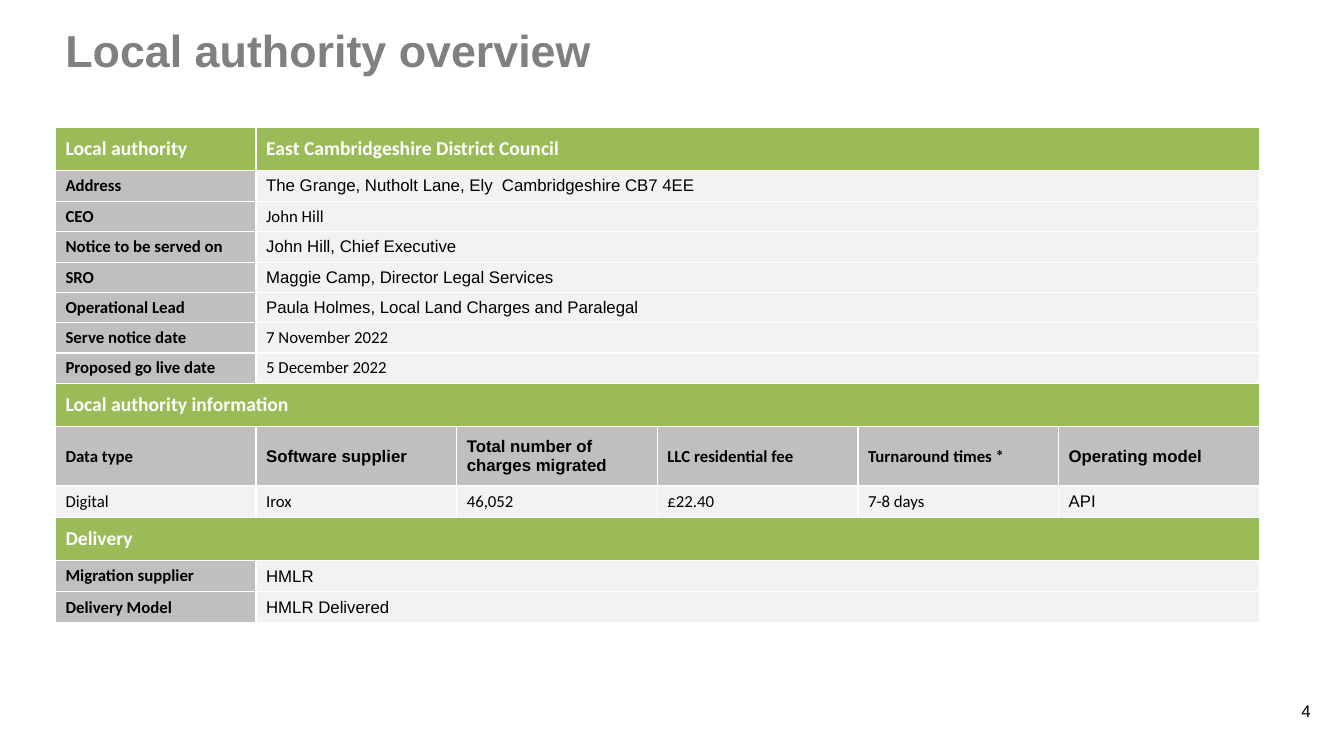
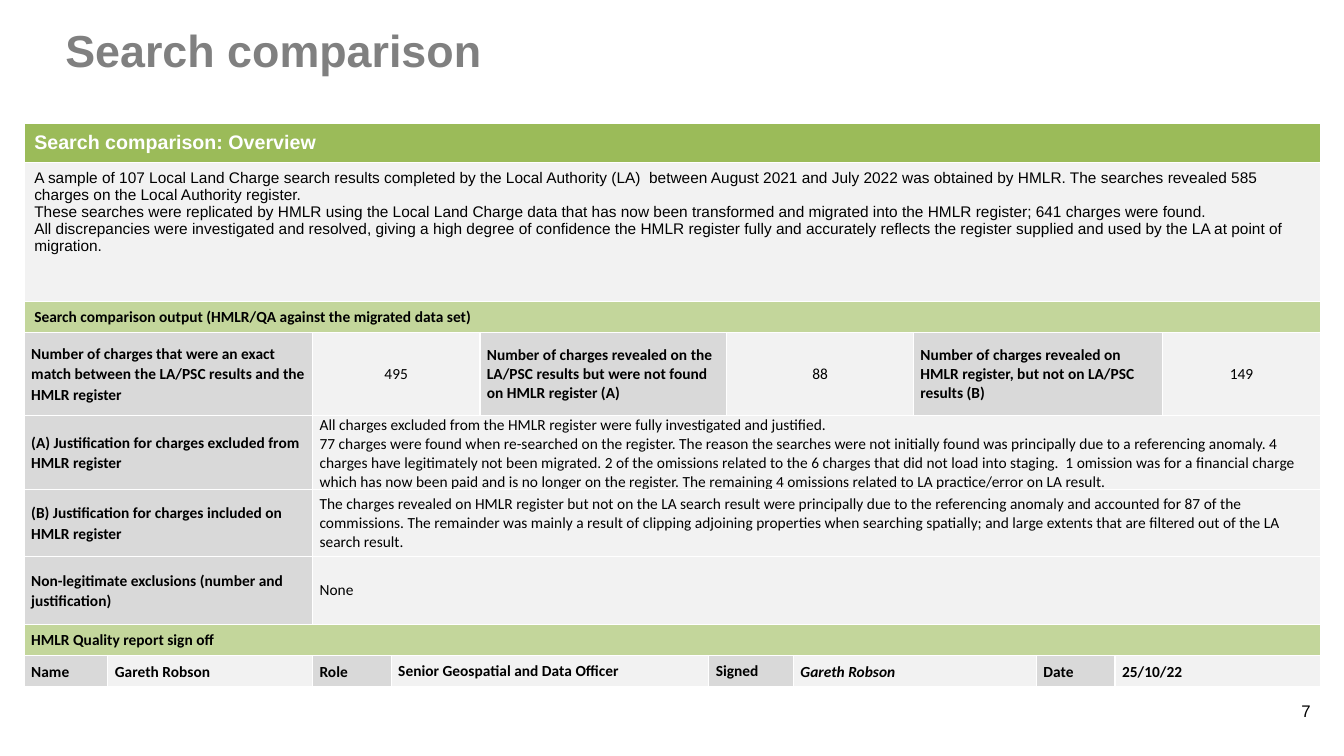
from lxml import etree
from pptx import Presentation, util as u
from pptx.dml.color import RGBColor
from pptx.enum import text as t
from pptx.oxml import ns

GREEN, PALE_GREEN, WHITE, BLACK = "9BBB59", "C3D69B", "FFFFFF", "000000"
GREY, PALE_GREY, MIST, TITLE_GREY = "BFBFBF", "D9D9D9", "F2F2F2", "808080"
SANS, HUMANIST = "Arial", "Calibri"

TITLE = {"name": SANS, "size": 32, "bold": True, "color": TITLE_GREY}
PAGE_NUMBER = {"name": SANS, "size": 12, "bold": False, "color": BLACK}
TITLE_BOX = (0.55, 0.17, 10.29, 0.65)
NUMBER_BOX = (12.81, 6.9, 0.39, 0.3)


def cell_style(fill, name, size, bold, color=BLACK, **extra):
    """Return the format values of one kind of table cell."""
    return {"fill": fill, "name": name, "size": size, "bold": bold,
            "color": color, **extra}


TIGHT = {"margins": (0.07, 0, 0.07, 0)}
SPACED = {**TIGHT, "paragraph": {"line_spacing": 1.07, "space_before": u.Pt(2),
                                 "space_after": u.Pt(2)}}
CENTRED = {**TIGHT, "paragraph": {"alignment": t.PP_ALIGN.CENTER}}
STYLES = {
    "band": cell_style(GREEN, HUMANIST, 14, True, WHITE),
    "label": cell_style(GREY, HUMANIST, 12, True),
    "label sans": cell_style(GREY, SANS, 12, True),
    "value": cell_style(MIST, HUMANIST, 12, False),
    "value sans": cell_style(MIST, SANS, 12, False),
    "overview band": cell_style(GREEN, SANS, 14, True, WHITE),
    "overview": cell_style(MIST, SANS, 11, False, margins=(0.1, 0.07, 0.1, 0.05),
                           anchor=t.MSO_ANCHOR.TOP),
    "output band": cell_style(PALE_GREEN, HUMANIST, 11, True),
    "sign-off band": cell_style(PALE_GREEN, HUMANIST, 11, True, **SPACED),
    "measure": cell_style(PALE_GREY, HUMANIST, 11, True, **TIGHT),
    "heading": cell_style(PALE_GREY, HUMANIST, 11, True, **SPACED),
    "count": cell_style(MIST, HUMANIST, 11, False, **CENTRED),
    "reason": cell_style(MIST, HUMANIST, 11, False, **TIGHT),
    "entry": cell_style(MIST, HUMANIST, 11, True, **SPACED),
    "role": cell_style(MIST, HUMANIST, 11, True, **TIGHT),
    "signature": cell_style(MIST, HUMANIST, 11, True, italic=True, **SPACED),
}


def detail_row(label, value, style="value sans", height=0.3):
    """Return a row with a label and a value over the other five columns."""
    return height, [(label, "label", 1), (value, style, 5)]


def reason_row(label, reason, height=0.67):
    """Return a row with a heading and its explanation."""
    return height, [(label, "heading", 2), (reason, "reason", 10)]


# Each row: height, then cells of (text, style, columns spanned)
AUTHORITY_ROWS = [
    (0.43, [("Local authority", "band", 1),
            ("East Cambridgeshire District Council", "band", 5)]),
    detail_row("Address", "The Grange, Nutholt Lane, Ely  Cambridgeshire CB7 4EE",
               height=0.31),
    detail_row("CEO", "John Hill", "value"),
    detail_row("Notice to be served on", "John Hill, Chief Executive"),
    detail_row("SRO", "Maggie Camp, Director Legal Services"),
    detail_row("Operational Lead", "Paula Holmes, Local Land Charges and Paralegal"),
    detail_row("Serve notice date", "7 November 2022", "value"),
    detail_row("Proposed go live date", "5 December 2022", "value"),
    (0.43, [("Local authority information", "band", 6)]),
    (0.59, [("Data type", "label", 1), ("Software supplier", "label sans", 1),
            ("Total number of charges migrated", "label sans", 1),
            ("LLC residential fee", "label", 1), ("Turnaround times *", "label", 1),
            ("Operating model", "label sans", 1)]),
    (0.31, [("Digital", "value", 1), ("Irox", "value", 1), ("46,052", "value", 1),
            ("£22.40", "value", 1), ("7-8 days", "value", 1),
            ("API", "value sans", 1)]),
    (0.43, [("Delivery", "band", 6)]),
    detail_row("Migration supplier", "HMLR", height=0.31),
    detail_row("Delivery Model", "HMLR Delivered", height=0.31),
]

OVERVIEW = (
    "A sample of 107 Local Land Charge search results completed by the Local Authority "
    "(LA)  between August 2021 and July 2022 was obtained by HMLR. The searches revealed "
    "585 charges on the Local Authority register.\n"
    "These searches were replicated by HMLR using the Local Land Charge data that has now "
    "been transformed and migrated into the HMLR register; 641 charges were found.\n"
    "All discrepancies were investigated and resolved, giving a high degree of confidence "
    "the HMLR register fully and accurately reflects the register supplied and used by the "
    "LA at point of migration.")
EXCLUDED = (
    "All charges excluded from the HMLR register were fully investigated and justified.\n"
    "77 charges were found when re-searched on the register. The reason the searches were "
    "not initially found was principally due to a referencing anomaly. 4 charges have "
    "legitimately not been migrated. 2 of the omissions related to the 6 charges that did "
    "not load into staging.  1 omission was for a financial charge which has now been paid "
    "and is no longer on the register. The remaining 4 omissions related to LA "
    "practice/error on LA result.")
INCLUDED = (
    "The charges revealed on HMLR register but not on the LA search result were principally "
    "due to the referencing anomaly and accounted for 87 of the commissions. The remainder "
    "was mainly a result of clipping adjoining properties when searching spatially; and "
    "large extents that are filtered out of the LA search result.")
SEARCH_ROWS = [
    (0.39, [("Search comparison: Overview", "overview band", 12)]),
    (1.38, [(OVERVIEW, "overview", 12)]),
    (0.31, [("Search comparison output (HMLR/QA against the migrated data set)",
             "output band", 12)]),
    (0.82, [("Number of charges that were an exact match between the LA/PSC results and "
             "the HMLR register", "heading", 2), ("495", "count", 2),
            ("Number of charges revealed on the LA/PSC results but were not found on "
             "HMLR register (A)", "measure", 2), ("88", "count", 2),
            ("Number of charges revealed on HMLR register, but not on LA/PSC results (B)",
             "measure", 3), ("149", "count", 1)]),
    reason_row("(A) Justification for charges excluded from HMLR register", EXCLUDED, 0.73),
    reason_row("(B) Justification for charges included on HMLR register", INCLUDED),
    reason_row("Non-legitimate exclusions (number and justification)", "None"),
    (0.31, [("HMLR Quality report sign off", "sign-off band", 12)]),
    (0.31, [("Name", "heading", 1), ("Gareth Robson", "entry", 1),
            ("Role", "heading", 1), ("Senior Geospatial and Data Officer", "role", 2),
            ("Signed", "measure", 2), ("Gareth Robson", "signature", 2),
            ("Date", "heading", 1), ("25/10/22", "entry", 2)]),
]

SLIDES = [
    {"title": "Local authority overview", "number": "4", "corner": (0.55, 1.26),
     "columns": [1.99] * 6, "rows": AUTHORITY_ROWS},
    {"title": "Search comparison", "number": "7", "corner": (0.24, 1.22),
     "columns": [0.83, 2.03, 0.78, 0.88, 2.27, 0.18, 0.66, 1.19, 1.22, 0.78, 0.47, 1.57],
     "rows": SEARCH_ROWS},
]


def rgb(value):
    """Turn a hex string into a colour."""
    return RGBColor.from_string(value)


def write_text(frame, content, style):
    """Write one paragraph per line of content in the given style."""
    for index, line in enumerate(content.split("\n")):
        paragraph = frame.add_paragraph() if index else frame.paragraphs[0]
        for key, value in style.get("paragraph", {}).items():
            setattr(paragraph, key, value)
        run = paragraph.add_run()
        run.text = line
        font = {"name": style["name"], "size": u.Pt(style["size"]),
                "bold": style["bold"], "italic": style.get("italic", False)}
        for key, value in font.items():
            setattr(run.font, key, value)
        run.font.color.rgb = rgb(style["color"])


def add_text(slide, box, content, style, anchor):
    """Add a wrapping text box."""
    shape = slide.shapes.add_textbox(*map(u.Inches, box))
    shape.text_frame.word_wrap = True
    shape.text_frame.vertical_anchor = anchor
    write_text(shape.text_frame, content, style)


def add_borders(cell):
    """Draw a white one-point line on each side of a cell."""
    properties = cell._tc.get_or_add_tcPr()
    for side in ("a:lnL", "a:lnR", "a:lnT", "a:lnB"):
        line = etree.SubElement(properties, ns.qn(side), w=str(u.Pt(1)))
        fill = etree.SubElement(line, ns.qn("a:solidFill"))
        etree.SubElement(fill, ns.qn("a:srgbClr"), val=WHITE)


def format_cell(cell, style):
    """Set the fill, borders, anchor and margins of a cell."""
    add_borders(cell)
    cell.fill.solid()
    cell.fill.fore_color.rgb = rgb(style["fill"])
    cell.vertical_anchor = style.get("anchor", t.MSO_ANCHOR.MIDDLE)
    margins = style.get("margins", (0.1, 0.05, 0.1, 0.05))
    for side, margin in zip(("left", "top", "right", "bottom"), margins):
        setattr(cell, "margin_" + side, u.Inches(margin))


def add_grid(slide, corner, columns, rows):
    """Add a table whose cells may span several columns."""
    size = (sum(columns), sum(height for height, _ in rows))
    table = slide.shapes.add_table(len(rows), len(columns),
                                   *map(u.Inches, corner + size)).table
    table.first_row = table.horz_banding = False
    for column, width in zip(table.columns, columns):
        column.width = u.Inches(width)
    for row_index, (height, cells) in enumerate(rows):
        table.rows[row_index].height = u.Inches(height)
        start = 0
        for content, style_name, span in cells:
            style = STYLES[style_name]
            end = start + span
            for column_index in range(start, end):
                format_cell(table.cell(row_index, column_index), style)
            cell = table.cell(row_index, start)
            if span > 1:
                cell.merge(table.cell(row_index, end - 1))
            write_text(cell.text_frame, content, style)
            start = end


def main():
    """Build and save the presentation."""
    presentation = Presentation()
    presentation.slide_width = u.Inches(13.33)
    presentation.slide_height = u.Inches(7.5)
    for page in SLIDES:
        slide = presentation.slides.add_slide(presentation.slide_layouts[6])
        add_text(slide, TITLE_BOX, page["title"], TITLE, t.MSO_ANCHOR.MIDDLE)
        add_text(slide, NUMBER_BOX, page["number"], PAGE_NUMBER, t.MSO_ANCHOR.TOP)
        add_grid(slide, page["corner"], page["columns"], page["rows"])
    presentation.save("out.pptx")


main()
